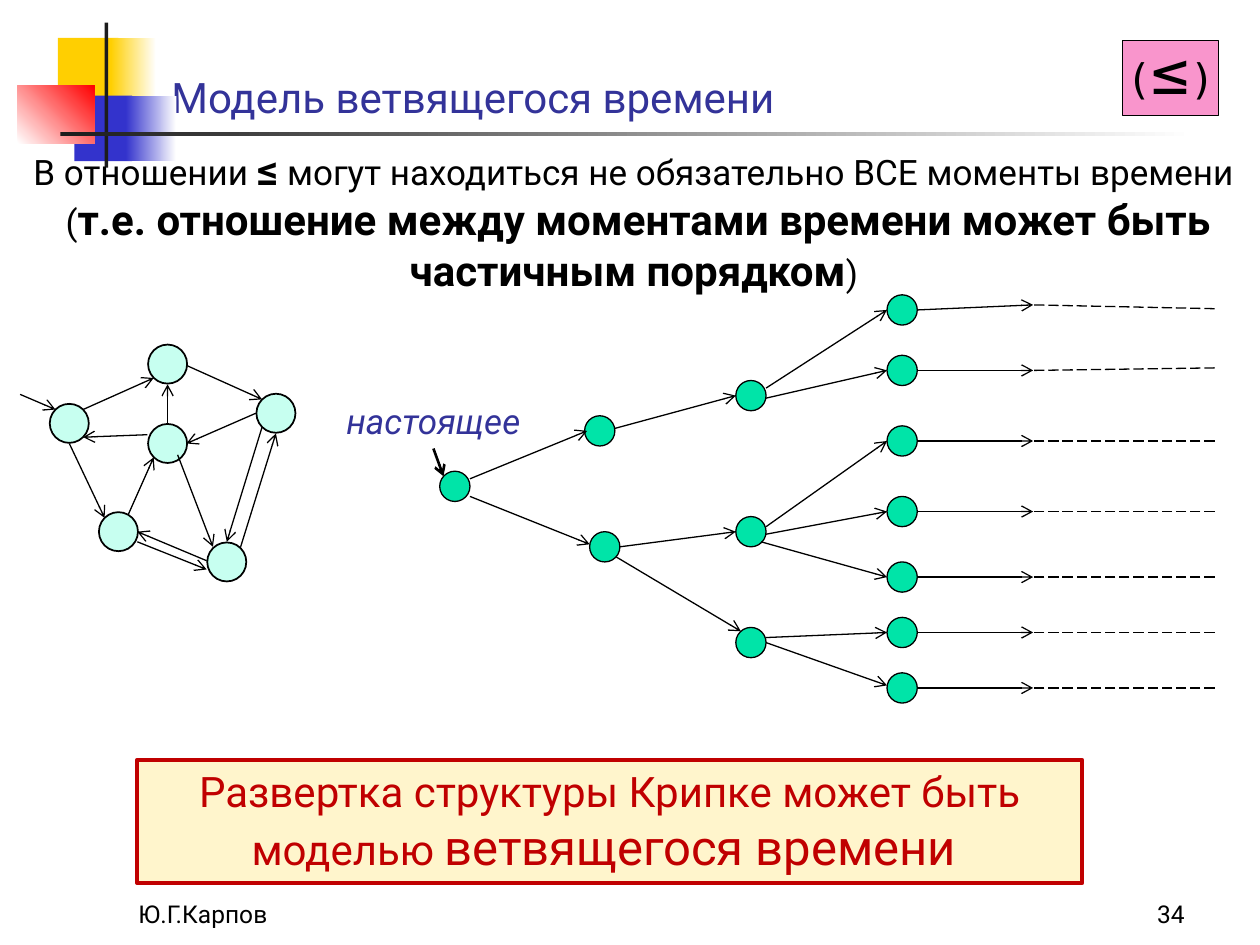
"""Build a slide on the branching model of time."""
from lxml.etree import SubElement
from pptx import Presentation
from pptx.dml.color import RGBColor
from pptx.enum.dml import MSO_LINE
from pptx.enum.shapes import MSO_CONNECTOR, MSO_SHAPE
from pptx.enum.text import MSO_ANCHOR, PP_ALIGN
from pptx.oxml.ns import qn
from pptx.util import Inches, Pt

BLACK = RGBColor(0x00, 0x00, 0x00)
WHITE = RGBColor(0xFF, 0xFF, 0xFF)
GOLD = RGBColor(0xFF, 0xCF, 0x01)
BLUE = RGBColor(0x33, 0x33, 0xCC)
RED = RGBColor(0xFF, 0x00, 0x00)
DARK = RGBColor(0x1C, 0x1C, 0x1C)
NAVY = RGBColor(0x33, 0x33, 0x99)
PINK = RGBColor(0xF9, 0x95, 0xCC)
CREAM = RGBColor(0xFF, 0xF5, 0xCC)
CRIMSON = RGBColor(0xC0, 0x00, 0x00)
GREEN = RGBColor(0x00, 0xE4, 0xA8)
MINT = RGBColor(0xC7, 0xFF, 0xF0)

deck = Presentation()
deck.slide_width, deck.slide_height = Inches(10), Inches(7.5)
slide = deck.slides.add_slide(deck.slide_layouts[5])
shapes = slide.shapes


def draw(kind, at, fill, edge=None, width=0.75):
    shape = shapes.add_shape(kind, *map(Inches, at))
    shape.shadow.inherit = False
    shape.fill.solid()
    shape.fill.fore_color.rgb = fill
    if edge is None:
        shape.line.fill.background()
    else:
        shape.line.color.rgb = edge
        shape.line.width = Pt(width)
    return shape


def write(shape, runs, color, font="Roboto", align=PP_ALIGN.CENTER, anchor=MSO_ANCHOR.TOP):
    frame = shape.text_frame
    frame.word_wrap = True
    frame.vertical_anchor = anchor
    para = frame.paragraphs[0]
    para.alignment = align
    para.font.name = font
    para.font.color.rgb = color
    for text, size, bold in runs:
        if text == "\n":
            para.add_line_break()
            continue
        run = para.add_run()
        run.text = text
        run.font.size = Pt(size)
        run.font.bold = bold
    return para


decor = [
    ((0.46, 0.3, 0.48, 0.52), GOLD, None, 0),
    ((0.88, 0.3, 0.36, 0.52), GOLD, WHITE, 0),
    ((0.59, 0.76, 0.46, 0.52), BLUE, None, 0),
    ((1, 0.76, 0.4, 0.52), BLUE, WHITE, 0),
    ((0.14, 0.68, 0.61, 0.46), WHITE, RED, 45),
    ((0.83, 0.18, 0.03, 1.15), DARK, None, 0),
    ((0.48, 1.05, 9, 0.03), DARK, WHITE, 0),
]
for at, start, end, angle in decor:
    block = draw(MSO_SHAPE.RECTANGLE, at, start)
    if end is not None:
        block.fill.gradient()
        block.fill.gradient_angle = angle
        for stop, color in zip(block.fill.gradient_stops, (start, end)):
            stop.color.rgb = color

title = shapes.title
title.left, title.top, title.width, title.height = map(Inches, (1.26, 0.22, 8.52, 0.8))
write(title, [("Модель ветвящегося времени", 24, False)], NAVY,
      align=PP_ALIGN.LEFT, anchor=MSO_ANCHOR.BOTTOM)

feet = [(1, "Ю.Г.Карпов", PP_ALIGN.LEFT), (7.42, "34", PP_ALIGN.RIGHT)]
for left, text, align in feet:
    foot = shapes.add_textbox(*map(Inches, (left, 6.92, 2.08, 0.5)))
    write(foot, [(text, 14, False)], BLACK, align=align, anchor=MSO_ANCHOR.BOTTOM)

intro = shapes.add_textbox(*map(Inches, (0.13, 1.09, 9.87, 1.31)))
write(intro, [
    ("В отношении ", 20, False),
    ("≤", 24, True),
    (" могут находиться не обязательно ВСЕ моменты времени ", 20, False),
    ("\n", 20, False),
    ("(", 20, False),
    ("т.е. отношение между моментами времени может быть частичным порядком", 24, True),
    (") ", 20, False),
], BLACK)

draw(MSO_SHAPE.RECTANGLE, (8.91, 0.32, 0.76, 0.6), PINK, BLACK)
sign = shapes.add_textbox(*map(Inches, (8.83, 0.2, 0.92, 0.71)))
write(sign, [("(", 24, False), ("≤", 36, False), (")", 24, False)], BLACK, "DejaVu Sans Mono")

claim = draw(MSO_SHAPE.RECTANGLE, (1.09, 6.03, 7.5, 0.98), CREAM, CRIMSON, 2.25)
write(claim, [
    ("Развертка структуры Крипке может быть моделью ", 24, False),
    ("ветвящегося времени ", 28, False),
], CRIMSON)

label = shapes.add_textbox(*map(Inches, (2.58, 3.12, 1.72, 0.44)))
write(label, [("настоящее", 20, False)], NAVY).font.italic = True

leaves = [2.46, 2.94, 3.5, 4.06, 4.58, 5.02, 5.46]
tree = [(3.61, 3.86), (4.8, 4.34), (4.76, 3.42), (5.96, 3.14), (5.96, 4.22), (5.96, 5.1)]
tree += [(7.16, y) for y in leaves]
states = [(0.55, 3.36), (1.33, 2.89), (1.33, 3.52), (0.94, 4.22), (2.19, 3.28), (1.8, 4.46)]
for nodes, size, fill, width in [(tree, 0.24, GREEN, 0.75), (states, 0.31, MINT, 1)]:
    for x, y in nodes:
        draw(MSO_SHAPE.OVAL, (x - size / 2, y - size / 2, size, size), fill, BLACK, width)

arrows = [
    (3.73, 3.8, 4.66, 3.42), (3.73, 3.94, 4.68, 4.32), (4.88, 3.4, 5.84, 3.14),
    (4.89, 4.42, 5.88, 5.01), (4.92, 4.34, 5.84, 4.22), (6.08, 5.1, 7.04, 5.44),
    (6.08, 5.06, 7.04, 5.02), (6.08, 3.08, 7.04, 2.46), (6.08, 3.16, 7.04, 2.94),
    (6.08, 4.18, 7.04, 3.5), (6.08, 4.24, 7.04, 4.06), (6.04, 4.3, 7.04, 4.58),
    (0.16, 3.13, 0.44, 3.25), (0.66, 3.25, 1.22, 3), (0.55, 3.52, 0.83, 4.11),
    (1.48, 2.9, 2.08, 3.17), (1.02, 4.08, 1.22, 3.63), (1.09, 4.3, 1.64, 4.52),
    (2.03, 3.28, 1.48, 3.52), (2.08, 3.39, 1.8, 4.3), (1.91, 4.34, 2.19, 3.44),
    (1.64, 4.45, 1.09, 4.22), (1.33, 3.37, 1.33, 3.05), (1.17, 3.45, 0.66, 3.47),
    (1.41, 3.61, 1.69, 4.34),
]
lines = [(ends, 0.75, False) for ends in arrows]
lines.append(((3.44, 3.56, 3.52, 3.78), 1.5, False))
bends = {2.46: (2.42, 2.45), 2.94: (2.94, 2.92)}
for y in leaves:
    mid, end = bends.get(y, (y, y))
    lines.append(((7.28, y, 8.2, mid), 0.75, False))
    lines.append(((9.64, end, 8.2, mid), 0.75, True))

for ends, width, dashed in lines:
    link = shapes.add_connector(MSO_CONNECTOR.STRAIGHT, *map(Inches, ends))
    link.line.color.rgb = BLACK
    link.line.width = Pt(width)
    if dashed:
        link.line.dash_style = MSO_LINE.LONG_DASH
    else:
        SubElement(link.line._get_or_add_ln(), qn("a:tailEnd"), type="arrow")
    SubElement(link._element.spPr, qn("a:effectLst"))

deck.save("out.pptx")
